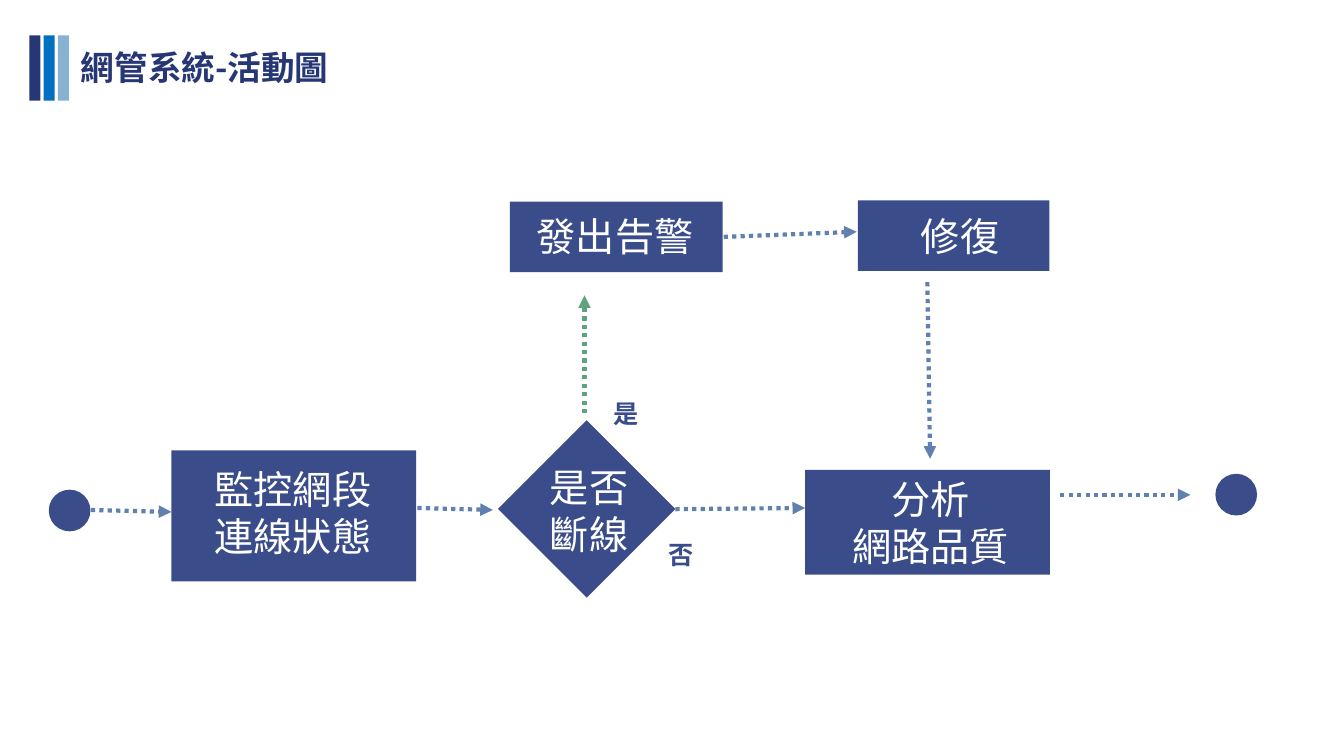
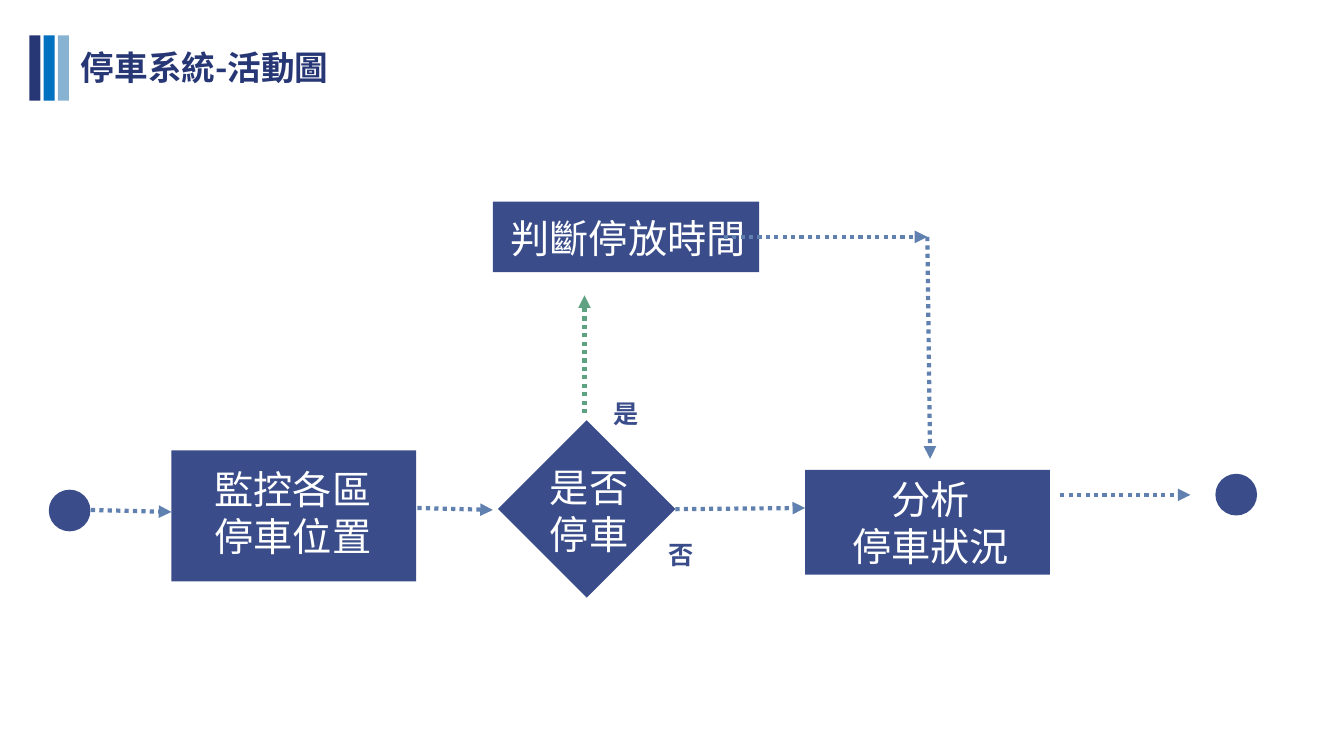
from lxml import etree
from pptx import Presentation
from pptx import util as u
from pptx.dml.color import RGBColor
from pptx.enum import dml, shapes, text
from pptx.oxml import ns

HUES = {"navy": "273775", "blue": "0070C0", "sky": "87B2D1", "node": "3A4D8A",
        "flow": "6080AF", "yes": "5FA281", "white": "FFFFFF"}
FACE = "Noto Sans CJK SC"
FORM = shapes.MSO_SHAPE
DOT = 1.05

FLOWS = [
    {
        "title": "網管系統-活動圖",
        "watch": ["監控網段", "連線狀態"],
        "ask": ["是否", "斷線"],
        "study": ["分析", "網路品質"],
        "steps": [((12.85, 5.08, 5.36, 1.78), (0.43, 0.15), ["發出告警"]),
                  ((21.62, 5.05, 4.83, 1.78), (1.34, 0.18), ["修復"])],
        "links": [(18.24, 5.97, 21.59, 5.84), (23.37, 7.11, 23.44, 11.56)],
    },
    {
        "title": "停車系統-活動圖",
        "watch": ["監控各區", "停車位置"],
        "ask": ["是否", "停車"],
        "study": ["分析", "停車狀況"],
        "steps": [((12.42, 5.08, 6.71, 1.78), (0.2, 0.2), ["判斷停放時間"])],
        "links": [(18.24, 5.97, 23.37, 5.97), (23.37, 5.97, 23.44, 11.56)],
    },
]
MAIN_LINKS = [(2.29, 12.85, 4.32, 12.9), (10.52, 12.8, 12.42, 12.85),
              (17.02, 12.83, 20.29, 12.8), (26.72, 12.47, 30, 12.47)]


def hue(name):
    """Return the named colour."""
    return RGBColor.from_string(HUES[name])


def span(box):
    """Turn centimetres into lengths."""
    return [u.Cm(size) for size in box]


def block(tree, form, box, fill):
    """Add a plain filled shape."""
    shape = tree.add_shape(form, *span(box))
    shape.shadow.inherit = False
    shape.fill.solid()
    shape.fill.fore_color.rgb = hue(fill)
    shape.line.fill.background()


def label(tree, box, lines, size, tone, bold=False, wrap=False, center=False):
    """Add a text box with one paragraph for each line."""
    frame = tree.add_textbox(*span(box)).text_frame
    frame.word_wrap = wrap
    frame.auto_size = text.MSO_AUTO_SIZE.SHAPE_TO_FIT_TEXT
    frame.text = "\n".join(lines)
    for para in frame.paragraphs:
        para.alignment = text.PP_ALIGN.CENTER if center else text.PP_ALIGN.LEFT
        font = para.font
        font.size, font.bold, font.name = u.Pt(size), bold, FACE
        font.color.rgb = hue(tone)
        props = para._p.pPr.find(ns.qn("a:defRPr"))
        etree.SubElement(props, ns.qn("a:ea"), typeface=FACE)
    return frame


def node(slide, box, shift, lines, form=FORM.RECTANGLE, center=False):
    """Group a shape with its caption, set off from the shape's corner."""
    tree = slide.shapes.add_group_shape().shapes
    block(tree, form, box, "node")
    wide = max(map(len, lines)) * 0.99 + 0.53
    high = len(lines) * 1.19 + 0.26
    place = (box[0] + shift[0], box[1] + shift[1], wide, high)
    label(tree, place, lines, 28, "white", center=center)


def arrow(slide, ends, tone="flow"):
    """Draw a dotted arrow."""
    link = slide.shapes.add_connector(shapes.MSO_CONNECTOR.STRAIGHT, *span(ends))
    link.line.width = u.Pt(3)
    link.line.color.rgb = hue(tone)
    link.line.dash_style = dml.MSO_LINE.ROUND_DOT
    props = link._element.spPr
    etree.SubElement(props.find(ns.qn("a:ln")), ns.qn("a:tailEnd"), type="triangle")
    etree.SubElement(props, ns.qn("a:effectLst"))


def header(slide, title, left=0.74, top=0.89):
    """Place the three bars and the title."""
    for step, tone in enumerate(("navy", "blue", "sky")):
        block(slide.shapes, FORM.RECTANGLE, (left + step * 0.36, top, 0.28, 1.65), tone)
    frame = label(slide.shapes, (left + 1.17, top + 0.15, 6.6, 1.27), [title], 24,
                  "navy", bold=True, wrap=True)
    frame.margin_left = frame.margin_right = u.Cm(0.13)
    frame.margin_top = frame.margin_bottom = u.Cm(0.13)


def chart(slide, flow):
    """Place the nodes, arrows and answers of an activity diagram."""
    for left, top in ((1.23, 12.34), (30.63, 11.94)):
        block(slide.shapes, FORM.OVAL, (left, top, DOT, DOT), "node")
    node(slide, (4.32, 11.35, 6.17, 3.3), (0.84, 0.26), flow["watch"])
    for step in flow["steps"]:
        node(slide, *step)
    node(slide, (20.29, 11.84, 6.17, 2.64), (0.92, 0.02), flow["study"], center=True)
    node(slide, (12.55, 10.59, 4.47, 4.47), (1.06, 0.97), flow["ask"], FORM.DIAMOND)
    for ends in MAIN_LINKS + flow["links"]:
        arrow(slide, ends)
    arrow(slide, (14.73, 10.41, 14.73, 7.44), "yes")
    for word, left, top in (("是", 15.21, 9.91), ("否", 16.59, 13.46)):
        label(slide.shapes, (left, top, 1.14, 1.03), [word], 18, "node", bold=True)


def main():
    """Build and save the deck."""
    deck = Presentation()
    deck.slide_width, deck.slide_height = u.Cm(33.87), u.Cm(19.05)
    for flow in FLOWS:
        slide = deck.slides.add_slide(deck.slide_layouts[6])
        header(slide, flow["title"])
        chart(slide, flow)
    deck.save("out.pptx")


if __name__ == "__main__":
    main()
